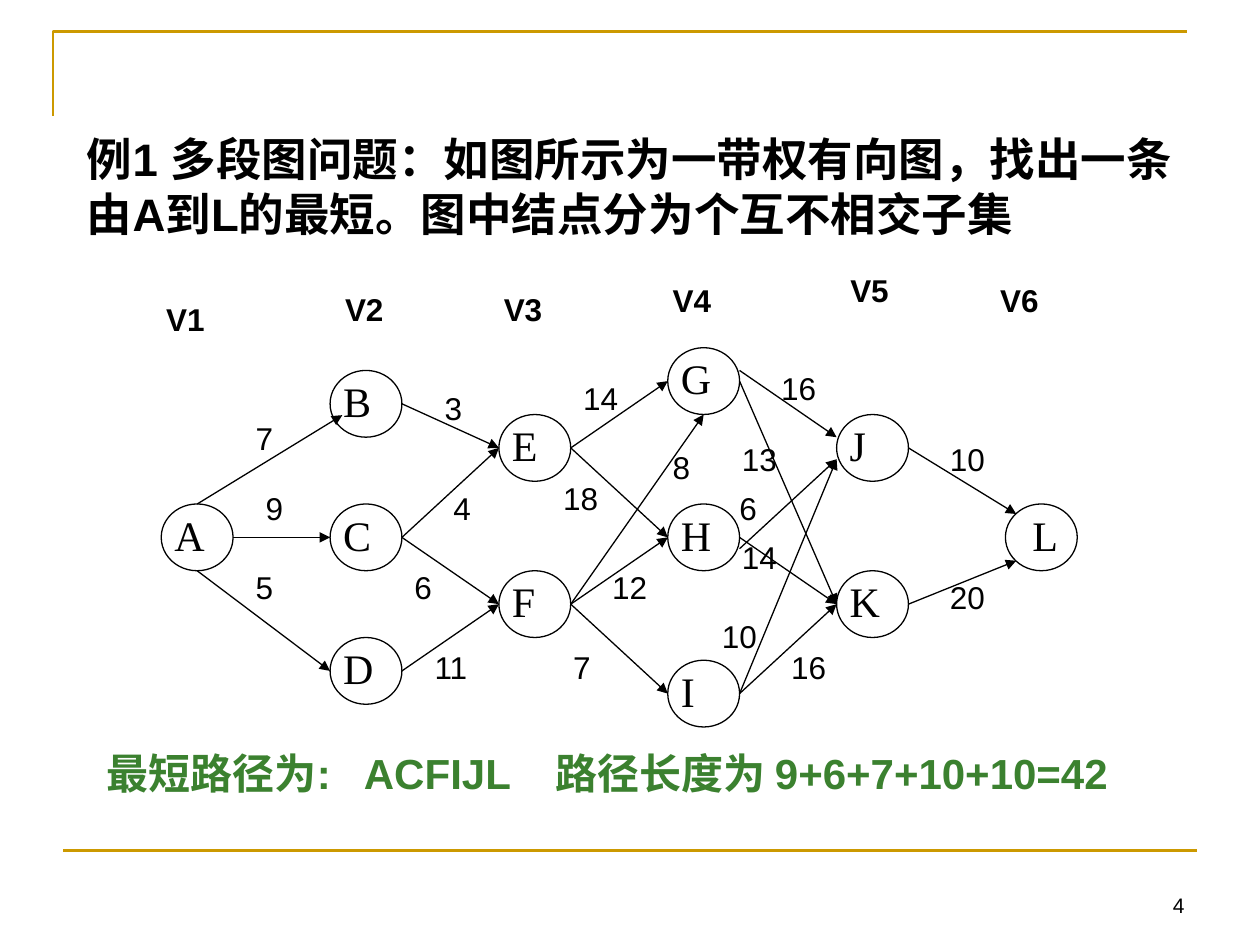
from pptx import Presentation
from pptx import util as u
from pptx.dml.color import RGBColor
from pptx.enum import shapes, text
from pptx.oxml.ns import qn
from lxml import etree

# Content
HEAD = "例1 多段图问题：如图所示为一带权有向图，找出一条由A到L的最短。图中结点分为个互不相交子集"
ANSWER = "最短路径为:\tACFIJL\t路径长度为 9+6+7+10+10=42"
PAGE = "4"
STAGES = [  # name, left, top
    ("V1", 1.22, 2.33), ("V2", 2.64, 2.25), ("V3", 3.9, 2.25),
    ("V4", 5.24, 2.18), ("V5", 6.65, 2.1), ("V6", 7.84, 2.18),
]
COLUMNS = [  # one dict per stage: node and its top
    {"A": 4}, {"B": 2.94, "C": 4, "D": 5.06}, {"E": 3.29, "F": 4.53},
    {"G": 2.76, "H": 4, "I": 5.24}, {"J": 3.29, "K": 4.53}, {"L": 4},
]

# Points on a node, as shares of its width and height
TOP, LEFT, BOTTOM, RIGHT = (0.5, 0), (0, 0.5), (0.5, 1), (1, 0.5)
HIGH, LOW = 0.34, 0.67
EDGES = [  # from, to, weight, label left, label top, start, end
    ("A", "B", 7, 1.93, 3.28, TOP, (0.17, LOW)),
    ("A", "C", 9, 2.01, 3.83, RIGHT, LEFT),
    ("A", "D", 5, 1.93, 4.46, BOTTOM, LEFT),
    ("B", "E", 3, 3.43, 3.04, RIGHT, LEFT),
    ("C", "E", 4, 3.5, 3.83, RIGHT, LEFT),
    ("C", "F", 6, 3.19, 4.46, RIGHT, LEFT),
    ("D", "F", 11, 3.35, 5.09, RIGHT, LEFT),
    ("E", "G", 14, 4.53, 2.96, RIGHT, LEFT),
    ("E", "H", 18, 4.37, 3.75, RIGHT, LEFT),
    ("F", "G", 8, 5.24, 3.51, RIGHT, BOTTOM),
    ("F", "H", 12, 4.76, 4.46, RIGHT, LEFT),
    ("F", "I", 7, 4.45, 5.09, RIGHT, LEFT),
    ("G", "J", 16, 6.1, 2.88, (1, HIGH), (0, HIGH)),
    ("G", "K", 13, 5.79, 3.44, RIGHT, LEFT),
    ("H", "J", 6, 5.77, 3.83, (1, LOW), (0, LOW)),
    ("I", "J", 10, 5.63, 4.85, RIGHT, (0, LOW)),
    ("H", "K", 14, 5.79, 4.22, RIGHT, LEFT),
    ("I", "K", 16, 6.18, 5.09, RIGHT, LEFT),
    ("J", "L", 10, 7.44, 3.44, RIGHT, (0.15, 0.15)),
    ("K", "L", 20, 7.44, 4.54, RIGHT, (0.15, 0.85)),
]

THEME = {
    "ink": RGBColor(0, 0, 0), "paper": RGBColor(255, 255, 255),
    "gold": RGBColor(0xCC, 0x99, 0), "green": RGBColor(0x3B, 0x81, 0x2F),
    "sans": "Arial", "serif": "Times New Roman",
    "head": 26, "big": 24, "label": 18, "small": 12,
    "rule": 1.5, "thin": 0.75,
}
FIRST, STEP, WIDE, TALL = 1.28, 1.34, 0.57, 0.53  # node grid

deck = Presentation()
deck.slide_width, deck.slide_height = u.Inches(10), u.Inches(7.5)
slide = deck.slides.add_slide(deck.slide_layouts[5])
parts = slide.shapes


def style(para, size, color="ink", face="sans", bold=False):
    font = para.font
    font.name, font.size, font.bold = THEME[face], u.Pt(THEME[size]), bold
    font.color.rgb = THEME[color]


def label(words, x, y, w, h, size="label", color="ink", bold=False, tabs=()):
    frame = parts.add_textbox(*map(u.Inches, (x, y, w, h))).text_frame
    frame.word_wrap = True
    para = frame.paragraphs[0]
    para.text = words
    if tabs:
        stops = etree.SubElement(para._p.get_or_add_pPr(), qn("a:tabLst"))
        for stop in tabs:
            etree.SubElement(stops, qn("a:tab"), pos=str(u.Inches(stop)), algn="l")
    style(para, size, color, bold=bold)
    return frame


def line(start, end, color="ink", width="thin", arrow=False):
    link = parts.add_connector(shapes.MSO_CONNECTOR.STRAIGHT,
                               *map(u.Inches, start + end))
    link.line.color.rgb, link.line.width = THEME[color], u.Pt(THEME[width])
    if arrow:
        etree.SubElement(link.line._get_or_add_ln(), qn("a:tailEnd"), type="triangle")
    etree.SubElement(link._element.spPr, qn("a:effectLst"))


def node(name, x, y):
    oval = parts.add_shape(shapes.MSO_SHAPE.OVAL, *map(u.Inches, (x, y, WIDE, TALL)))
    oval.shadow.inherit = False
    oval.fill.solid()
    oval.fill.fore_color.rgb = THEME["paper"]
    oval.line.color.rgb, oval.line.width = THEME["ink"], u.Pt(THEME["thin"])
    frame = oval.text_frame
    frame.margin_left = u.Inches(0.13 if name == "L" else 0.02)
    frame.margin_top = frame.margin_right = 0
    frame.margin_bottom = u.Inches(0.05)
    frame.vertical_anchor = text.MSO_ANCHOR.MIDDLE
    para = frame.paragraphs[0]
    para.text, para.alignment = name, text.PP_ALIGN.LEFT
    style(para, "big", face="serif")


def point(name, share):
    x, y = spots[name]
    return x + WIDE * share[0], y + TALL * share[1]


# Frame lines
path = parts.build_freeform(u.Inches(0.42), u.Inches(0.92))
path.add_line_segments([(u.Inches(x), u.Inches(0.25)) for x in (0.42, 9.42)], close=False)
edge = path.convert_to_shape()
edge.shadow.inherit = False
edge.fill.background()
edge.line.color.rgb, edge.line.width = THEME["gold"], u.Pt(THEME["rule"])
line((0.5, 6.75), (9.5, 6.75), "gold", "rule")

# Heading
title = parts.title
title.left, title.top, title.width, title.height = map(u.Inches, (0.59, 0.99, 9.06, 1.26))
frame = title.text_frame
frame.text = HEAD
frame.word_wrap, frame.auto_size = True, text.MSO_AUTO_SIZE.NONE
frame.vertical_anchor = text.MSO_ANCHOR.TOP
frame.paragraphs[0].alignment = text.PP_ALIGN.LEFT
style(frame.paragraphs[0], "head", bold=True)

# Graph nodes
spots = {name: (FIRST + STEP * i, y)
         for i, column in enumerate(COLUMNS) for name, y in column.items()}
for name, spot in spots.items():
    node(name, *spot)

# Graph edges, then their weights
for a, b, _, _, _, start, end in EDGES:
    line(point(a, start), point(b, end), arrow=True)
for _, _, weight, x, y, _, _ in EDGES:
    label(str(weight), x, y, 0.39 if weight < 10 else 0.55, 0.4)

# Stage names, answer and page number
for name, x, y in STAGES:
    label(name, x, y, 0.63, 0.4, bold=True)
label(ANSWER, 0.75, 5.88, 8.43, 0.5, "big", "green", True, tabs=(2.04, 3.56))
page = label(PAGE, 7.17, 6.83, 2.33, 0.5, "small")
page.vertical_anchor = text.MSO_ANCHOR.BOTTOM
page.paragraphs[0].alignment = text.PP_ALIGN.RIGHT

deck.save("out.pptx")
